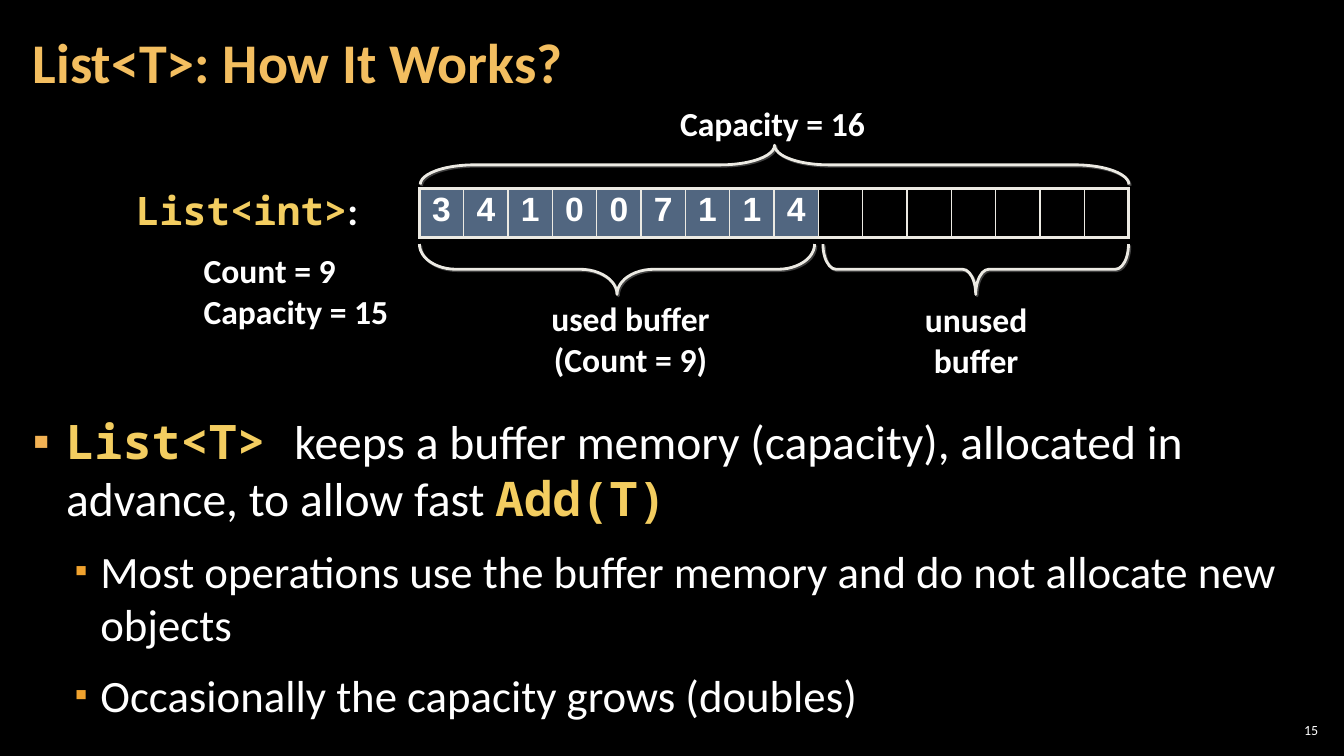
from lxml.etree import SubElement
from pptx import Presentation
from pptx.dml.color import RGBColor
from pptx.enum.shapes import MSO_SHAPE as Preset
from pptx.enum.text import MSO_ANCHOR as Anchor, PP_ALIGN as Align
from pptx.oxml.ns import qn
from pptx.util import Cm, Pt

BLACK = RGBColor(0x00, 0x00, 0x00)
WHITE = RGBColor(0xFF, 0xFF, 0xFF)
GOLD = RGBColor(0xF3, 0xBE, 0x60)
CODE_YELLOW = RGBColor(0xF3, 0xCD, 0x60)
USED_BLUE = RGBColor(0xA3, 0xCD, 0xFF)
IVORY = RGBColor(0xEC, 0xEA, 0xE3)
SHADOW_GREY = RGBColor(0x40, 0x40, 0x40)
BULLET_LIGHT = RGBColor(0xF2, 0xB2, 0x54)
BULLET_DARK = RGBColor(0xF0, 0xA2, 0x2E)

PLAIN = ("Calibri", WHITE, False)
BOLD = ("Calibri", WHITE, True)
CODE = ("Noto Sans Mono", CODE_YELLOW, True)
HEADING = ("Calibri", GOLD, True)
DIGIT = ("Arial", WHITE, True)

TITLE = "List<T>: How It Works?"
BUFFER = [3, 4, 1, 0, 0, 7, 1, 1, 4]
CAPACITY = 16
TABLE_BOX = (10.57, 4.75, 17.88, 1.24)

# left, top, width, height, rotation, curve
BRACES = [
    (10.57, 6.15, 9.96, 1.27, 270, 0.73),
    (20.74, 6.15, 7.7, 1.27, 270, 0.26),
    (10.59, 3.66, 17.86, 0.99, 90, 1.38),
]

# box, wrap, alignment, paragraphs of (size, indent, space before, runs)
LABELS = [
    ((3.18, 4.57, 6.93, 3.94), False, Align.LEFT, [
        (28, 0, 0, [("List<int>", CODE), (":", BOLD)]),
        (24, 1.7, 12, [("Count = 9", BOLD)]),
        (24, 1.7, 0, [("Capacity = 15", BOLD)])]),
    ((16.89, 2.46, 5.21, 1.27), False, Align.LEFT, [
        (24, 0, 0, [("Capacity = 16", BOLD)])]),
    ((12.93, 7.39, 5.92, 2.31), True, Align.CENTER, [
        (24, 0, 0, [("used buffer", BOLD)]),
        (24, 0, 0, [("(Count = 9)", BOLD)])]),
    ((22.48, 7.42, 4.24, 2.39), True, Align.CENTER, [
        (24, 0, 0, [("unused buffer", BOLD)])]),
]

BODY_BOX = (0.53, 10.29, 32.79, 8.38)
BODY = [
    (34, 0.84, 0, [
        ("List<T> ", CODE),
        ("keeps a buffer memory (capacity), allocated in advance, to allow fast ", PLAIN),
        ("Add(T)", CODE)]),
    (32, 1.7, 6, [("Most operations use the buffer memory and do not allocate new objects", PLAIN)]),
    (32, 1.7, 6, [("Occasionally the capacity grows (doubles)", PLAIN)]),
]
BULLETS = [(0.84, BULLET_LIGHT, 100), (0.64, BULLET_DARK, 80), (0.64, BULLET_DARK, 80)]

NUMBER_BOX = (32.13, 18.14, 1.19, 0.53)
NUMBER = [(10, 0, 0, [("15", PLAIN)])]


def lengths(box):
    """Turn plain centimetre numbers into lengths."""
    return [Cm(value) for value in box]


def style(font, size, look):
    """Apply a size and a (name, colour, bold) look to a font."""
    font.size = Pt(size)
    font.name, font.color.rgb, font.bold = look


def solid(parent, colour, alpha=None):
    """Append a solid fill in the given colour to an XML element."""
    fill = SubElement(parent, qn("a:solidFill"))
    SubElement(fill, qn("a:srgbClr"), val=str(colour))


def add_text(slide, box, paragraphs, wrap=True, align=Align.LEFT, margins=None):
    """Add a text box and return its shape."""
    shape = slide.shapes.add_textbox(*lengths(box))
    frame = shape.text_frame
    frame.word_wrap = wrap
    if margins:
        set_margins(frame, *margins)
    for index, (size, indent, before, runs) in enumerate(paragraphs):
        paragraph = frame.add_paragraph() if index else frame.paragraphs[0]
        paragraph.alignment = align
        if before:
            paragraph.space_before = Pt(before)
        if indent:
            paragraph._p.get_or_add_pPr().set("marL", str(Cm(indent)))
        for text, look in runs:
            run = paragraph.add_run()
            run.text = text
            style(run.font, size, look)
    return shape


def set_margins(frame, side, edge):
    """Set the side and the top and bottom margins of a text frame."""
    frame.margin_left = frame.margin_right = Cm(side)
    frame.margin_top = frame.margin_bottom = Cm(edge)


def add_bullet(paragraph, hanging, colour, percent):
    """Give a paragraph a hanging square bullet."""
    paragraph.space_after = Pt(6)
    properties = paragraph._p.get_or_add_pPr()
    properties.set("indent", str(-Cm(hanging)))
    bullet_colour = SubElement(properties, qn("a:buClr"))
    SubElement(bullet_colour, qn("a:srgbClr"), val=str(colour))
    SubElement(properties, qn("a:buSzPct"), val=str(percent * 1000))
    SubElement(properties, qn("a:buFont"), typeface="Calibri")
    SubElement(properties, qn("a:buChar"), char="▪")


def add_buffer(slide):
    """Add the one-row table that shows the buffer cells."""
    table = slide.shapes.add_table(1, CAPACITY, *lengths(TABLE_BOX)).table
    table.first_row = table.horz_banding = False
    for index in range(CAPACITY):
        table.columns[index].width = Cm(TABLE_BOX[2] / CAPACITY)
        cell = table.cell(0, index)
        properties = cell._tc.get_or_add_tcPr()
        widths = {"L": 1 if index else 2.25, "R": 1 if index < CAPACITY - 1 else 2.25,
                  "T": 2.25, "B": 2.25}
        for side, width in widths.items():
            solid(SubElement(properties, qn("a:ln" + side), w=str(Pt(width))), IVORY)
        if index >= len(BUFFER):
            cell.fill.background()
            continue
        cell.fill.solid()
        cell.fill.fore_color.rgb = USED_BLUE
        colour = properties.find(qn("a:solidFill")).find(qn("a:srgbClr"))
        SubElement(colour, qn("a:alpha"), val="50000")
        paragraph = cell.text_frame.paragraphs[0]
        paragraph.text = str(BUFFER[index])
        paragraph.alignment = Align.CENTER
        paragraph.line_spacing = 0.95
        style(paragraph.runs[0].font, 24, DIGIT)


def add_brace(slide, left, top, width, height, rotation, curve):
    """Add a brace turned on its side to fill the given box."""
    shift = (width - height) / 2
    shape = slide.shapes.add_shape(
        Preset.LEFT_BRACE, *lengths((left + shift, top - shift, height, width)))
    shape.rotation = rotation
    shape.adjustments[0] = curve
    shape.fill.background()
    shape.line.color.rgb = IVORY
    shape.line.width = Pt(2)
    shape.shadow.inherit = False
    effects = shape._element.spPr.find(qn("a:effectLst"))
    shadow = SubElement(effects, qn("a:outerShdw"), dist=str(Pt(1.4)), dir="2700000",
                        rotWithShape="0")
    SubElement(shadow, qn("a:srgbClr"), val=str(SHADOW_GREY))


def main():
    """Build the slide on how a list buffer works."""
    presentation = Presentation()
    presentation.slide_width, presentation.slide_height = Cm(33.87), Cm(19.05)
    slide = presentation.slides.add_slide(presentation.slide_layouts[5])
    slide.background.fill.solid()
    slide.background.fill.fore_color.rgb = BLACK

    title = slide.shapes.title
    title.left, title.top, title.width, title.height = lengths((0.53, 0.1, 26.59, 3.07))
    frame = title.text_frame
    frame.text = TITLE
    frame.vertical_anchor = Anchor.MIDDLE
    set_margins(frame, 0.3, 0.1)
    frame.paragraphs[0].alignment = Align.LEFT
    frame.paragraphs[0].line_spacing = 0.9
    style(frame.paragraphs[0].runs[0].font, 40, HEADING)

    number = add_text(slide, NUMBER_BOX, NUMBER, align=Align.RIGHT, margins=(0.1, 0.1))
    number.text_frame.vertical_anchor = Anchor.MIDDLE
    body = add_text(slide, BODY_BOX, BODY, margins=(0.3, 0.1))
    for paragraph, bullet in zip(body.text_frame.paragraphs, BULLETS):
        add_bullet(paragraph, *bullet)

    add_buffer(slide)
    for brace in BRACES:
        add_brace(slide, *brace)
    for box, wrap, align, paragraphs in LABELS:
        add_text(slide, box, paragraphs, wrap, align)
    presentation.save("out.pptx")


if __name__ == "__main__":
    main()
